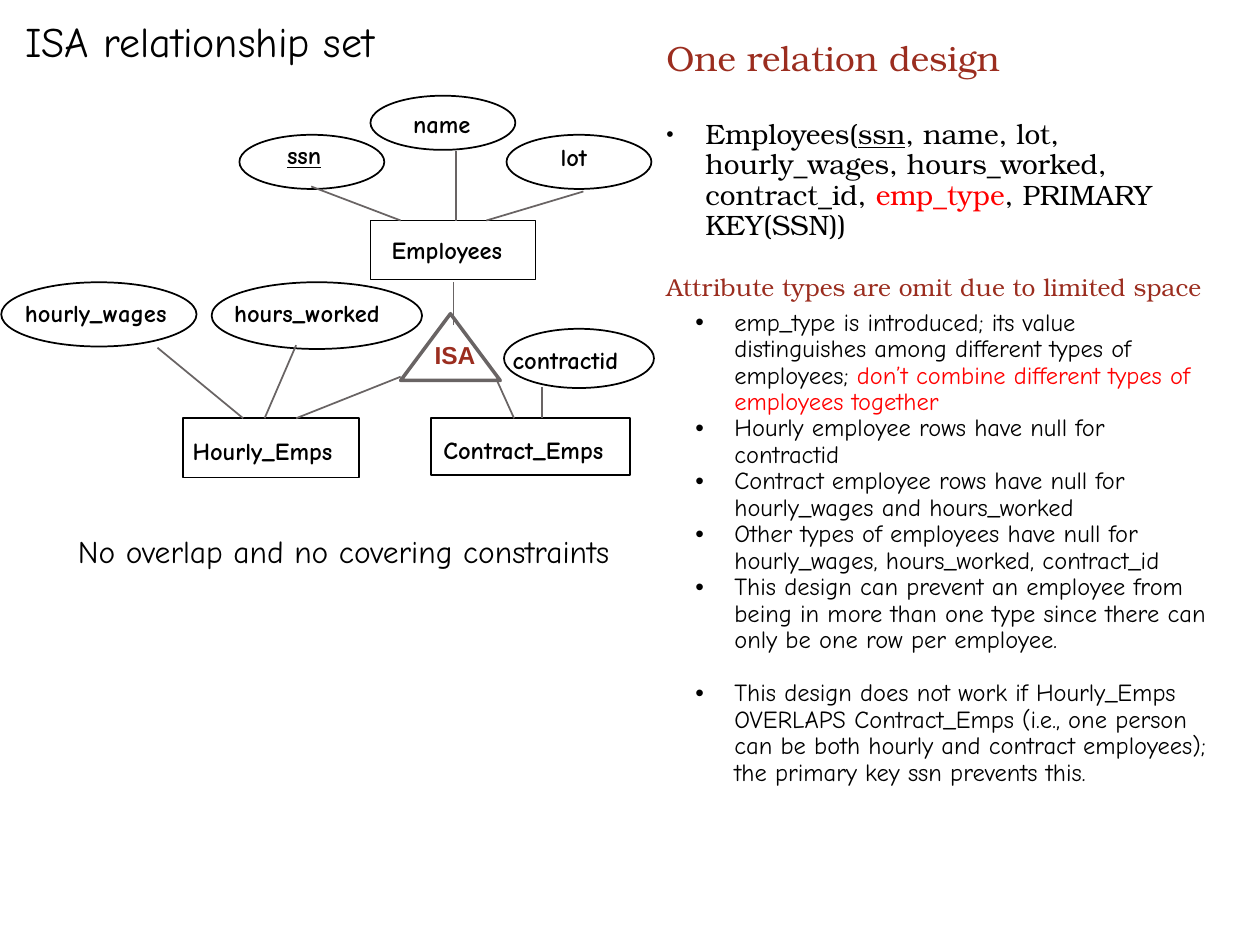
import pptx
import pptx.dml.color
import pptx.enum.shapes
import pptx.enum.text
import pptx.oxml.ns
import pptx.util
from dataclasses import dataclass
from lxml import etree
from pptx.util import Inches, Pt

SHAPES = pptx.enum.shapes.MSO_SHAPE
qn = pptx.oxml.ns.qn


@dataclass(frozen=True)
class Theme:
    black: str = "000000"
    gray: str = "696464"
    brick: str = "9B2D1F"
    red: str = "FF0000"
    hand: str = "Comic Neue"
    serif: str = "TeX Gyre Bonum"
    sans: str = "Arial"
    title: int = 24
    heading: int = 20
    caption: int = 18
    schema: int = 16
    body: int = 14


THEME = Theme()
LABEL_HEIGHT = 0.33

# Diagram parts: kind, box (left, top, width, height), label, label left, label top
NODES = [
    (SHAPES.OVAL, (1.9, 1.07, 1.15, 0.43), "ssn", 2.18, 1.06),
    (SHAPES.OVAL, (4.02, 1.07, 1.15, 0.43), "lot", 4.35, 1.08),
    (SHAPES.OVAL, (2.94, 0.76, 1.15, 0.43), "name", 3.18, 0.82),
    (SHAPES.RECTANGLE, (2.94, 1.75, 1.31, 0.47), "Employees", 3.01, 1.82),
    (SHAPES.OVAL, (0.01, 2.24, 1.55, 0.51), "hourly_wages", 0.1, 2.32),
    (SHAPES.OVAL, (4, 2.61, 1.19, 0.47), "contractid", 3.97, 2.69),
    (SHAPES.OVAL, (1.68, 2.24, 1.67, 0.53), "hours_worked", 1.76, 2.32),
    (SHAPES.RECTANGLE, (1.45, 3.32, 1.4, 0.47), "Hourly_Emps", 1.43, 3.41),
    (SHAPES.RECTANGLE, (3.42, 3.32, 1.58, 0.45), "Contract_Emps", 3.42, 3.4),
    (SHAPES.ISOSCELES_TRIANGLE, (3.18, 2.49, 0.79, 0.53), "ISA", 3.35, 2.65),
]
LABEL_WIDTHS = {
    "ssn": 0.49, "lot": 0.45, "name": 0.67, "Employees": 1.15,
    "hourly_wages": 1.44, "contractid": 1.16, "hours_worked": 1.48,
    "Hourly_Emps": 1.4, "Contract_Emps": 1.6, "ISA": 0.52,
}
LINKS = [
    (2.47, 1.48, 3.18, 1.75),   # ssn to Employees
    (3.62, 1.2, 3.62, 1.75),    # name to Employees
    (4.63, 1.52, 3.86, 1.75),   # lot to Employees
    (1.25, 2.76, 1.93, 3.32),   # hourly_wages to Hourly_Emps
    (2.35, 2.74, 2.1, 3.32),    # hours_worked to Hourly_Emps
    (3.18, 2.99, 2.35, 3.32),   # ISA to Hourly_Emps
    (3.94, 3.01, 4.08, 3.32),   # ISA to Contract_Emps
    (4.3, 3.07, 4.3, 3.32),     # contractid to Contract_Emps
    (3.6, 2.58, 3.6, 2.24),     # ISA to Employees
]
NOTES = [
    [("emp_type is introduced; its value distinguishes among different types of employees; ", {}),
     ("don’t combine different types of employees together", {"color": THEME.red})],
    [("Hourly employee rows have null for contractid", {})],
    [("Contract employee rows have null for hourly_wages and hours_worked", {})],
    [("Other types of employees have null for hourly_wages, hours_worked, contract_id", {})],
    [("This design can prevent an employee from being in more than one type since "
      "there can only be one row per employee.", {})],
    [("This design does not work if Hourly_Emps OVERLAPS Contract_Emps (i.e., one person "
      "can be both hourly and contract employees); the primary key ssn prevents this.", {})],
]


def rgb(color):
    return pptx.dml.color.RGBColor.from_string(color)


def place(shape, box):
    for name, value in zip(("left", "top", "width", "height"), box):
        setattr(shape, name, Inches(value))


def prepare_frame(shape, wrap):
    frame = shape.text_frame
    settings = {
        "word_wrap": wrap,
        "auto_size": pptx.enum.text.MSO_AUTO_SIZE.NONE,
        "vertical_anchor": pptx.enum.text.MSO_ANCHOR.TOP,
    }
    for name, value in settings.items():
        setattr(frame, name, value)
    return frame


def add_text_box(slide, box, wrap=False):
    return prepare_frame(slide.shapes.add_textbox(*map(Inches, box)), wrap)


def fill_paragraph(paragraph, runs, font, size, color=THEME.black, **spacing):
    paragraph.alignment = pptx.enum.text.PP_ALIGN.LEFT
    for name, value in spacing.items():
        setattr(paragraph, name, value)
    for text, changes in runs:
        run = paragraph.add_run()
        run.text = text
        values = {"name": font, "size": Pt(size), "color": color, **changes}
        run.font.color.rgb = rgb(values.pop("color"))
        for name, value in values.items():
            setattr(run.font, name, value)


def add_bullet(paragraph, margin, hanging, percent=100):
    properties = paragraph._p.get_or_add_pPr()
    properties.set("marL", str(Inches(margin)))
    properties.set("indent", str(-Inches(hanging)))
    etree.SubElement(properties, qn("a:buSzPct"), val=str(percent * 1000))
    etree.SubElement(properties, qn("a:buFont"), typeface=THEME.sans)
    etree.SubElement(properties, qn("a:buChar"), char="•")


def add_node(slide, kind, box, label, label_left, label_top):
    is_triangle = kind == SHAPES.ISOSCELES_TRIANGLE
    shape = slide.shapes.add_shape(kind, *map(Inches, box))
    shape.shadow.inherit = False
    shape.fill.background()
    shape.line.color.rgb = rgb(THEME.gray if is_triangle else THEME.black)
    shape.line.width = Pt(2 if is_triangle else 1)

    frame = add_text_box(slide, (label_left, label_top, LABEL_WIDTHS[label], LABEL_HEIGHT))
    changes = {"bold": True, "underline": True} if label == "ssn" else {"bold": True}
    fill_paragraph(frame.paragraphs[0], [(label, changes)],
                   THEME.sans if is_triangle else THEME.hand, THEME.body,
                   THEME.brick if is_triangle else THEME.black)


def add_link(slide, ends):
    connector = slide.shapes.add_connector(
        pptx.enum.shapes.MSO_CONNECTOR.STRAIGHT, *map(Inches, ends))
    connector.line.color.rgb = rgb(THEME.gray)
    connector.line.width = Pt(1)
    etree.SubElement(connector._element.spPr, qn("a:effectLst"))


def add_title(slide):
    title = slide.shapes.title
    place(title, (0.1, 0.07, 3.42, 0.51))
    frame = prepare_frame(title, False)
    fill_paragraph(frame.paragraphs[0], [("ISA relationship set", {})], THEME.hand, THEME.title)


def add_design(slide):
    frame = add_text_box(slide, (5.19, 0.24, 4.85, 1.99), wrap=True)
    fill_paragraph(frame.paragraphs[0], [("One relation design", {})],
                   THEME.serif, THEME.heading, THEME.brick)
    schema = frame.add_paragraph()
    fill_paragraph(schema, [
        ("Employees(", {}),
        ("ssn", {"underline": True}),
        (", name, lot, hourly_wages, hours_worked, contract_id, ", {}),
        ("emp_type", {"color": THEME.red}),
        (", PRIMARY KEY(SSN))", {}),
    ], THEME.serif, THEME.schema, line_spacing=0.9, space_before=Pt(24))
    add_bullet(schema, 0.31, 0.31, 75)
    fill_paragraph(frame.add_paragraph(), [("Attribute types are omit due to limited space", {})],
                   THEME.serif, THEME.body, THEME.brick, line_spacing=0.9, space_before=Pt(19.5))


def add_notes_list(slide):
    frame = add_text_box(slide, (5.35, 2.41, 4.35, 4.55), wrap=True)
    for index, runs in enumerate(NOTES):
        paragraph = frame.add_paragraph() if index else frame.paragraphs[0]
        is_last = index == len(NOTES) - 1
        fill_paragraph(paragraph, runs, THEME.hand, THEME.body,
                       line_spacing=0.9, space_before=Pt(15.2 if is_last else 0))
        add_bullet(paragraph, 0.38, 0.31)


def main():
    presentation = pptx.Presentation()
    presentation.slide_width, presentation.slide_height = Inches(10), Inches(7.5)
    slide = presentation.slides.add_slide(presentation.slide_layouts[5])
    add_title(slide)

    # Entity-relationship diagram
    for node in NODES:
        add_node(slide, *node)
    for ends in LINKS:
        add_link(slide, ends)
    caption = add_text_box(slide, (0.52, 4.21, 4.85, 0.38))
    fill_paragraph(caption.paragraphs[0], [("No overlap and no covering constraints", {})],
                   THEME.hand, THEME.caption, line_spacing=0.9)

    # Relational design on the right
    add_design(slide)
    add_notes_list(slide)
    presentation.save("out.pptx")


if __name__ == "__main__":
    main()
